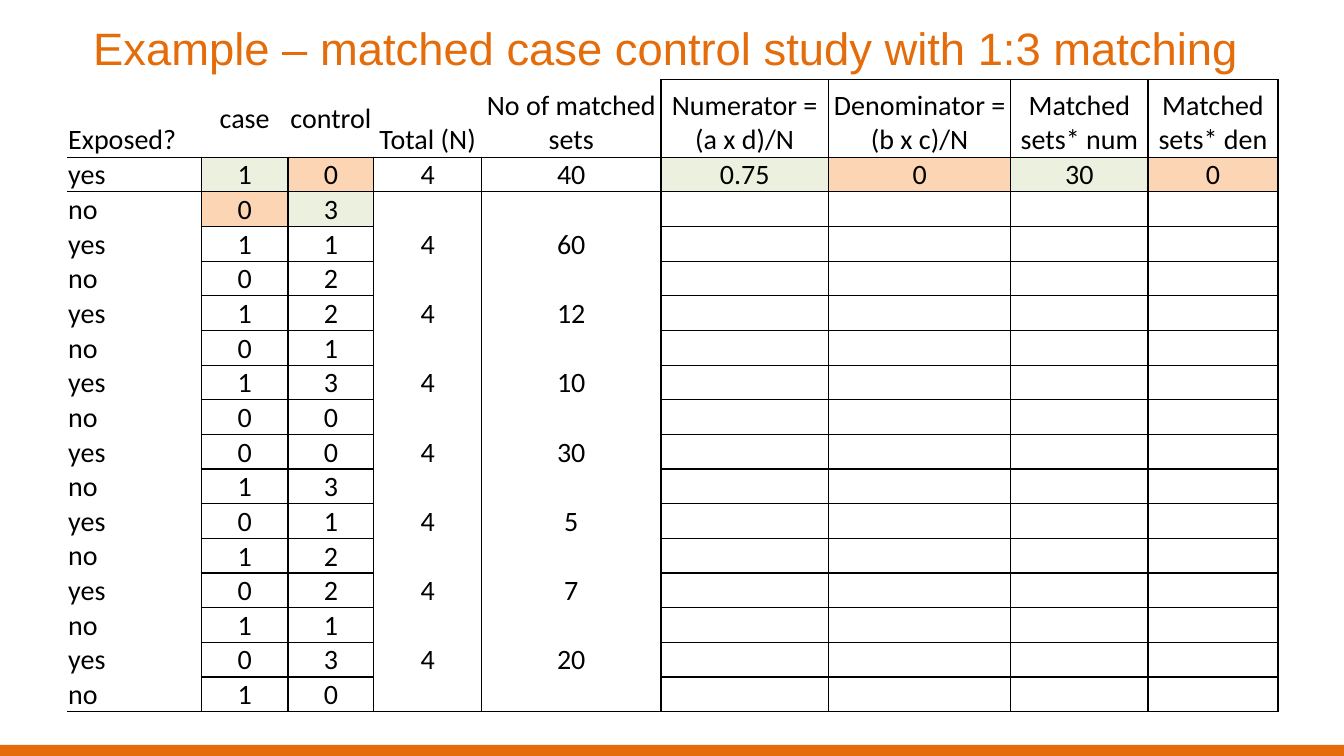
from pptx import Presentation
from pptx.dml.color import RGBColor
from pptx.enum.shapes import MSO_SHAPE
from pptx.enum.text import MSO_ANCHOR, PP_ALIGN
from pptx.oxml.ns import qn
from pptx.util import Inches, Pt
from lxml.etree import SubElement

ORANGE, GREEN, PEACH, BLACK = "E46C0A", "EBF1DE", "FCD5B5", "000000"


def paint(item, code):
    """Give a fill a solid colour."""
    item.solid()
    item.fore_color.rgb = RGBColor.from_string(code)


def edge(cell, side, shown):
    """Draw or clear one side (L, R, T or B) of a table cell."""
    line = SubElement(cell._tc.get_or_add_tcPr(), qn(f"a:ln{side}"), w=str(Pt(1)))
    if shown:
        fill = SubElement(line, qn("a:solidFill"))
        SubElement(fill, qn("a:srgbClr"), val=BLACK)
    else:
        SubElement(line, qn("a:noFill"))


deck = Presentation()
deck.slide_width, deck.slide_height = Inches(13.33), Inches(7.5)
wide, high = deck.slide_width, deck.slide_height
slide = deck.slides.add_slide(deck.slide_layouts[6])
left = wide // 20

# Footer bar
bar = slide.shapes.add_shape(MSO_SHAPE.RECTANGLE, 0, Inches(7.39), wide, Inches(0.11))
bar.shadow.inherit = False
paint(bar.fill, ORANGE)
bar.line.fill.background()

# Title
title = slide.shapes.add_textbox(left, 0, wide - 2 * left, high // 8)
frame = title.text_frame
frame.word_wrap = True
frame.vertical_anchor = MSO_ANCHOR.MIDDLE
para = frame.paragraphs[0]
para.alignment = PP_ALIGN.CENTER
run = para.add_run()
run.text = "Example – matched case control study with 1:3 matching "
run.font.name, run.font.size = "Arial", Pt(32.4)
run.font.color.rgb = RGBColor.from_string(ORANGE)

# Table content: each matched set gives a "yes" row and a "no" row
heads = ["Exposed?", "case", "control", "Total (N)", "No of matched sets",
         "Numerator = (a x d)/N", "Denominator = (b x c)/N",
         "Matched sets* num", "Matched sets* den"]
sets = [(1, 0, 40), (1, 1, 60), (1, 2, 12), (1, 3, 10),
        (0, 0, 30), (0, 1, 5), (0, 2, 7), (0, 3, 20)]
rows = [heads]
for case, control, count in sets:
    rows.append(["yes", case, control, 4, count] + [""] * 4)
    rows.append(["no", 1 - case, 3 - control] + [""] * 6)
rows[1][5:] = ["0.75", 0, 30, 0]

tints = {(1, 1): GREEN, (1, 2): PEACH, (2, 1): PEACH, (2, 2): GREEN,
         (1, 5): GREEN, (1, 6): PEACH, (1, 7): GREEN, (1, 8): PEACH}
widths = [1.33, 0.86, 0.85, 1.07, 1.78, 1.66, 1.81, 1.36, 1.29]
last = len(rows)

grid = slide.shapes.add_table(last, len(heads), left, Inches(0.79),
                              Inches(sum(widths)), Inches(6.21)).table
grid.first_row = grid.horz_banding = False
for col, width in zip(grid.columns, widths):
    col.width = Inches(width)
for r, row in enumerate(grid.rows):
    row.height = Inches(0.34 if r else 0.77)

for r, row in enumerate(rows):
    for c, text in enumerate(row):
        cell = grid.cell(r, c)
        cell.margin_left = cell.margin_right = cell.margin_top = Inches(0.01)
        cell.margin_bottom = 0
        cell.vertical_anchor = MSO_ANCHOR.MIDDLE if c in (1, 2) else MSO_ANCHOR.BOTTOM

        # Lines are set by grid edge, so neighbouring cells agree
        for side, k in (("L", c), ("R", c + 1)):
            edge(cell, side, k >= 5 or (r > 0 and k > 0))
        for side, k in (("T", r), ("B", r + 1)):
            edge(cell, side, c >= 5 or k in (1, 2, last) or (c in (1, 2) and k > 0))
        if (r, c) in tints:
            paint(cell.fill, tints[r, c])
        else:
            cell.fill.background()

        para = cell.text_frame.paragraphs[0]
        para.alignment = PP_ALIGN.CENTER if c else PP_ALIGN.LEFT
        para.font.name, para.font.size = "Calibri", Pt(20)
        if text == "":
            para._p.get_or_add_endParaRPr().set("sz", "2000")
            continue
        run = para.add_run()
        run.text = str(text)
        run.font.name, run.font.size = "Calibri", Pt(20)
        run.font.color.rgb = RGBColor.from_string(BLACK)

deck.save("out.pptx")
